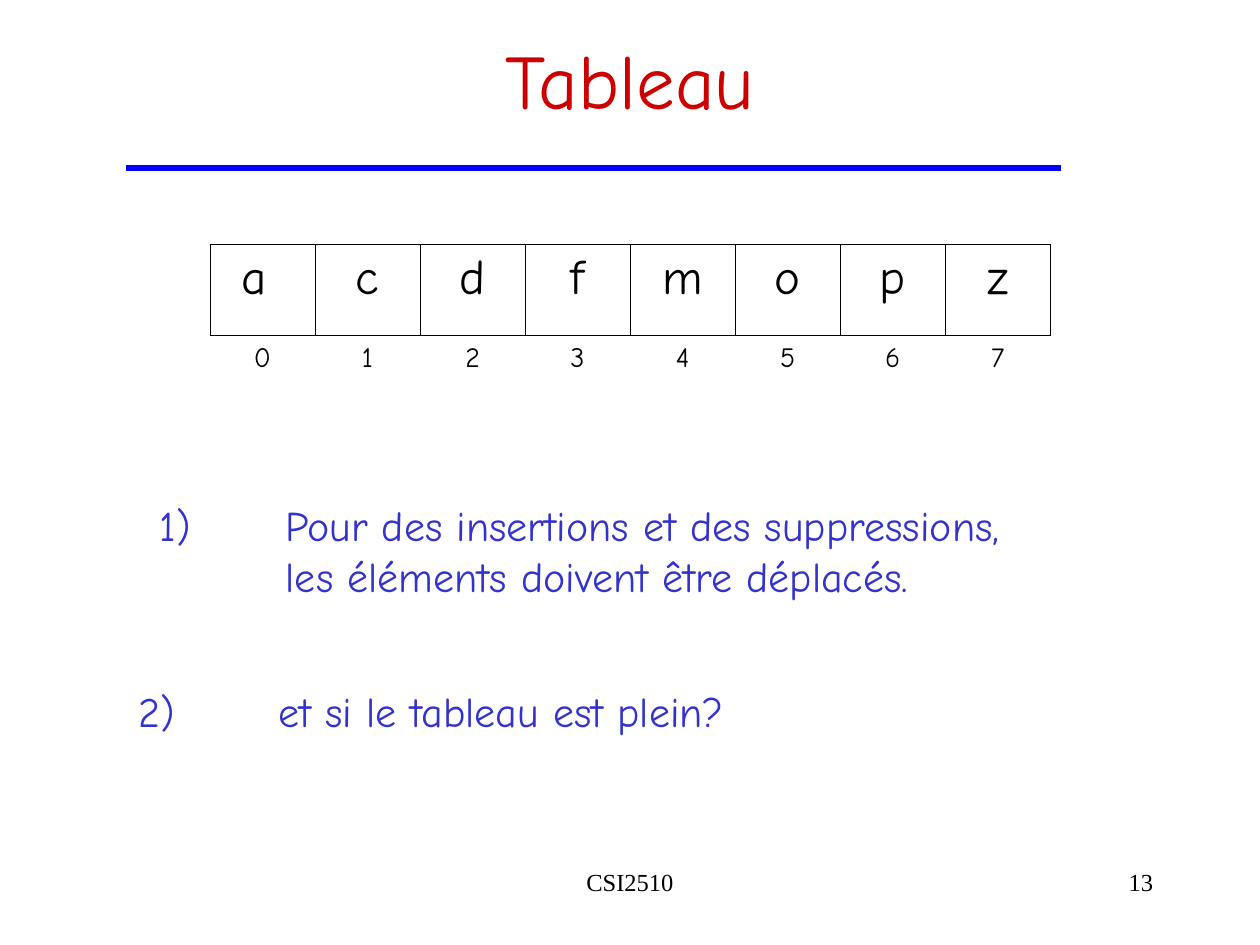
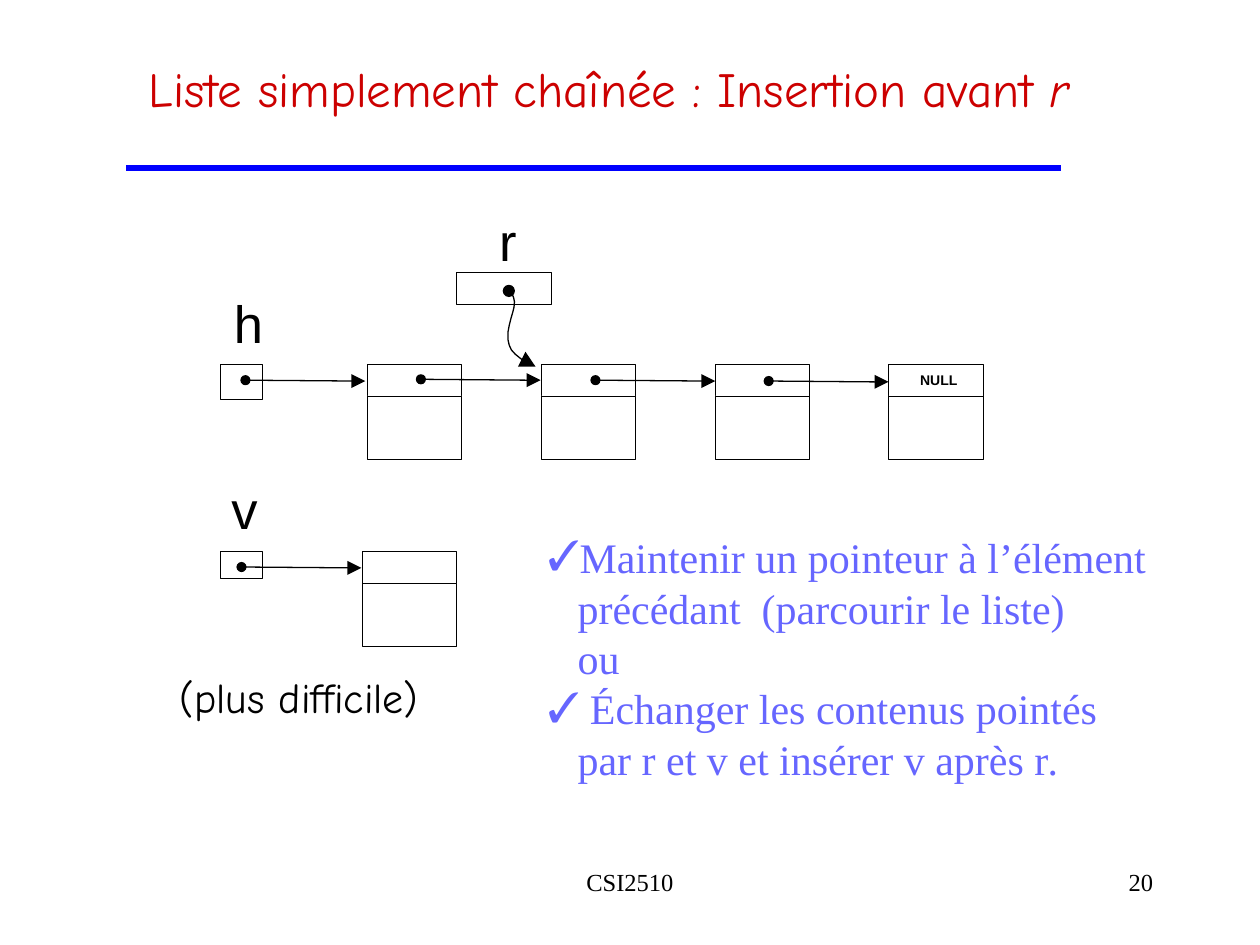
import pptx
import pptx.util
import pptx.dml.color
import pptx.enum.shapes
import pptx.enum.text
import pptx.oxml
import pptx.oxml.ns
import lxml.etree

Pt = pptx.util.Pt
qn = pptx.oxml.ns.qn
Align = pptx.enum.text.PP_ALIGN
Anchor = pptx.enum.text.MSO_ANCHOR
Kind = pptx.enum.shapes.MSO_SHAPE
Line = pptx.enum.shapes.MSO_CONNECTOR.STRAIGHT
COLORS = {"black": "000000", "white": "FFFFFF", "title": "CC0000",
          "rule": "0000FF", "note": "3333CC", "hint": "6666FF"}
HAND, SERIF, SANS = "Comic Neue", "Times New Roman", "Arial"


def text(where, words, at=None, size=24, font=HAND, color="black", align=Align.LEFT,
         anchor=Anchor.TOP, wrap=True, pad=None, bold=False, tail="", bullet="", tab=0):
    """Write words in a new box on a slide, or in a cell; tail ends them in italics."""
    if at:
        where = where.shapes.add_textbox(*map(Pt, at))
    frame = where.text_frame
    if at:
        frame.word_wrap = wrap
        frame.vertical_anchor = anchor
        if not wrap:
            frame.auto_size = pptx.enum.text.MSO_AUTO_SIZE.SHAPE_TO_FIT_TEXT
    if pad is not None:
        frame.margin_left = frame.margin_right = Pt(pad)
        frame.margin_top = frame.margin_bottom = Pt(pad)
    lines = words.split("\n")
    for i, line in enumerate(lines):
        par = frame.add_paragraph() if i else frame.paragraphs[0]
        par.text = line
        par.alignment = align
        if tail and i == len(lines) - 1:
            end = par.add_run()
            end.text = tail
            end.font.italic = True
        for run in par.runs:
            run.font.name, run.font.size, run.font.bold = font, Pt(size), bold
            run.font.color.rgb = pptx.dml.color.RGBColor.from_string(COLORS[color])
        props = par._p.get_or_add_pPr()
        if bullet:
            props.set("marL", str(Pt(17)))
            props.set("indent", str(-Pt(17)))
            lxml.etree.SubElement(props, qn("a:buFont"), typeface=font)
            lxml.etree.SubElement(props, qn("a:buChar"), char=bullet)
        if tab:
            stops = lxml.etree.SubElement(props, qn("a:tabLst"))
            lxml.etree.SubElement(stops, qn("a:tab"), pos=str(Pt(tab)), algn="l")


def paint(shape, fill=None, line=None, width=0.75):
    """Set fill and line, and drop the shadow."""
    if fill:
        shape.fill.solid()
        shape.fill.fore_color.rgb = pptx.dml.color.RGBColor.from_string(COLORS[fill])
    elif hasattr(shape, "fill"):
        shape.fill.background()
    if line:
        shape.line.color.rgb = pptx.dml.color.RGBColor.from_string(COLORS[line])
        shape.line.width = Pt(width)
    else:
        shape.line.fill.background()
    lxml.etree.SubElement(shape._element.spPr, qn("a:effectLst"))


deck = pptx.Presentation()
deck.slide_width, deck.slide_height = Pt(720), Pt(540)

# Shared rule and footers
slides = []
for number in ("13", "20"):
    slide = deck.slides.add_slide(deck.slide_layouts[6])
    text(slide, "CSI2510", at=(246, 492, 228, 36), size=14, font=SERIF, align=Align.CENTER)
    text(slide, number, at=(516, 492, 150, 36), size=14, font=SERIF, align=Align.RIGHT)
    rule = slide.shapes.add_connector(Line, Pt(72), Pt(96), Pt(606.25), Pt(96))
    paint(rule, line="rule", width=3.25)
    slides.append(slide)
array, chain = slides

# Array slide: title and notes
text(array, "Tableau", at=(54, 0, 612, 90), size=44, color="title",
     align=Align.CENTER, anchor=Anchor.MIDDLE)
text(array, "1) \tPour des insertions et des suppressions,\n\tles éléments doivent être déplacés.",
     at=(84.25, 282, 495.5, 65), color="note", wrap=False, tab=72)
text(array, "2)\t et si le tableau est plein?", at=(72, 388.25, 358, 36), color="note",
     wrap=False, tab=72)

# Array slide: letters in a ruled row, indices below without borders
letters = ["a ", "c", "d", "f", "m", "o", "p", "z"]
table = array.shapes.add_table(2, len(letters), Pt(120), Pt(139.5), Pt(480.25), Pt(78.5)).table
table.first_row = table.horz_banding = False
table.rows[0].height, table.rows[1].height = Pt(52.25), Pt(26.25)
for col, letter in enumerate(letters):
    for row, (words, size, sides) in enumerate([(letter, 28, "LRTB"), (str(col), 16, "T")]):
        cell = table.cell(row, col)
        text(cell, words, size=size, align=Align.CENTER)
        props = cell._tc.get_or_add_tcPr()
        for side in "LRTB":
            edge = lxml.etree.SubElement(props, qn("a:ln" + side), w=str(Pt(0.45)))
            if side in sides:
                ink = lxml.etree.SubElement(edge, qn("a:solidFill"))
                lxml.etree.SubElement(ink, qn("a:srgbClr"), val=COLORS["black"])
            else:
                lxml.etree.SubElement(edge, qn("a:noFill"))
        cell.fill.background()

# List slide: title and notes
text(chain, "Liste simplement chaînée : Insertion avant ", at=(78, 30, 541.5, 41), size=28,
     color="title", wrap=False, tail="r")
text(chain, "(plus difficile)", at=(95.75, 380, 170, 36))
text(chain, "Maintenir un pointeur à l’élément précédant  (parcourir le liste)\vou\n"
     " Échanger les contenus pointés par r et v et insérer v après r",
     at=(306, 300.25, 360, 209), font=SERIF, color="hint", tail=".", bullet="✓")

# Nodes (link over data) and pointer boxes
nodes = [(209.75 + 99.35 * i, 208.25) for i in range(4)] + [(206.75, 315.25)]
boxes = [(126, 208.25, 24, 19.75), (126, 315.25, 24, 15), (260.75, 155.75, 54, 18)]
for x, y in nodes:
    boxes += [(x, y, 54, 18), (x, y + 18, 54, 36)]
for box in boxes:
    paint(chain.shapes.add_shape(Kind.RECTANGLE, *map(Pt, box)), "white", "black", 0.25)

# Names of the pointers
for name, x, y, width in [("h", 133.75, 166.5, 16.5), ("v", 132.25, 272.75, 15),
                          ("r", 285.25, 119.5, 10)]:
    text(chain, name, at=(x, y, width, 36), size=30, font=SANS, align=Align.CENTER,
         wrap=False, pad=0)
text(chain, "NULL", at=(525.75, 212.25, 21.5, 9.5), size=8, font=SANS, align=Align.CENTER,
     wrap=False, pad=0, bold=True)

# Links: shaft, dot and arrowhead
dots = [(290.75, 166.25, 3.5)]
heads = [[(300.25, 201), (306, 209.5), (296, 209.5)]]
for x, y in [(140.25, 217.25), (240.5, 216.75), (340.25, 217.25), (439.25, 217.75), (138, 324)]:
    shaft = chain.shapes.add_connector(Line, Pt(x), Pt(y), Pt(x + 62), Pt(y + 0.5))
    paint(shaft, line="black")
    dots.append((x, y, 2.9))
    heads.append([(x + 60.5, y - 3.5), (x + 68.5, y + 0.5), (x + 60.5, y + 4.5)])
for x, y, r in dots:
    paint(chain.shapes.add_shape(Kind.OVAL, Pt(x - r), Pt(y - r), Pt(2 * r), Pt(2 * r)), "black")

# Arrowheads, and the curved link from r
curve = [(291, 166.25), (292.5, 167.75), (293.5, 170), (294, 172.5), (293.75, 175.5),
         (293, 178.5), (292, 182), (291, 186), (290.25, 190), (290.25, 194),
         (291, 197.25), (292.25, 200), (294.5, 202.5), (297, 204.5), (299, 206)]
for points in heads + [curve]:
    spots = [(Pt(x), Pt(y)) for x, y in points]
    path = chain.shapes.build_freeform(*spots[0])
    path.add_line_segments(spots[1:], close=points is not curve)
    if points is curve:
        paint(path.convert_to_shape(), line="black")
    else:
        paint(path.convert_to_shape(), "black")

deck.save("out.pptx")
